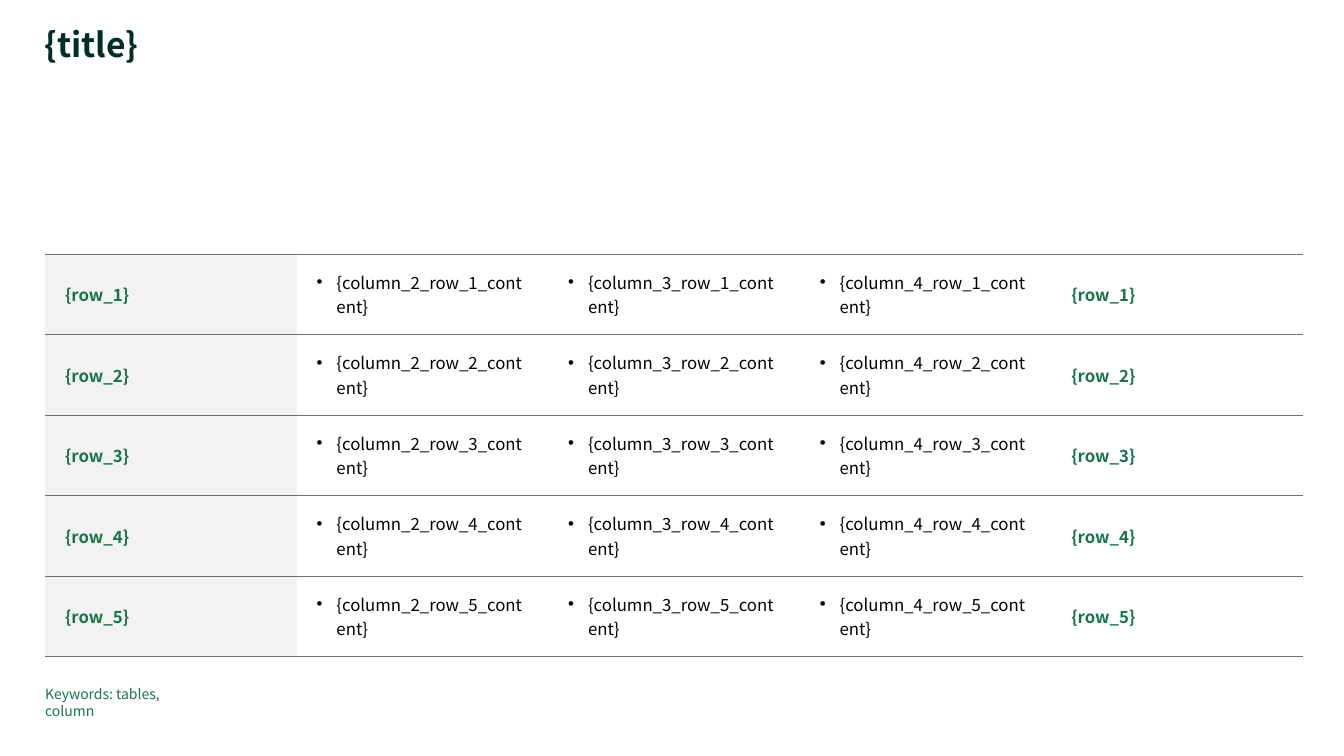
"""Build a slide with a title, a five-row table and a keyword line."""
from dataclasses import dataclass

from lxml.etree import SubElement
from pptx import Presentation
from pptx.dml.color import RGBColor
from pptx.enum.text import MSO_ANCHOR, MSO_AUTO_SIZE, PP_ALIGN
from pptx.oxml.ns import qn
from pptx.util import Cm, Pt


@dataclass(frozen=True)
class TextStyle:
    size: float
    color: str
    bold: bool = False


@dataclass(frozen=True)
class Theme:
    font: str = "Noto Sans CJK JP"
    rule: str = "6E6F73"
    rule_width: float = 0.5
    label_fill: str = "F2F2F2"
    title: TextStyle = TextStyle(24, "002D28", True)
    label: TextStyle = TextStyle(12, "1A7449", True)
    content: TextStyle = TextStyle(12, "000000")
    keywords: TextStyle = TextStyle(10, "1A7449")


@dataclass(frozen=True)
class Column:
    text: str
    style: TextStyle
    bulleted: bool = False
    fill: str | None = None


THEME = Theme()
ROW_COUNT = 5
COLUMN_WIDTH = Cm(6.34)
ROW_HEIGHT = Cm(2.03)
CELL_SIDE = Cm(0.5)
CELL_END = Cm(0.4)
BULLET_INDENT = Cm(0.5)
COLUMNS = [
    Column("{{row_{row}}}", THEME.label, fill=THEME.label_fill),
    *(
        Column(f"{{{{column_{number}_row_{{row}}_content}}}}", THEME.content, bulleted=True)
        for number in (2, 3, 4)
    ),
    Column("{{row_{row}}}", THEME.label),
]


def style_paragraph(para, style: TextStyle) -> None:
    para.alignment = PP_ALIGN.LEFT
    font = para.font
    font.name = THEME.font
    font.size = Pt(style.size)
    font.bold = style.bold
    font.color.rgb = RGBColor.from_string(style.color)


def fill_frame(frame, text: str, style: TextStyle, line_spacing: float) -> None:
    frame.margin_left = frame.margin_right = frame.margin_top = frame.margin_bottom = 0
    frame.word_wrap = True
    frame.auto_size = MSO_AUTO_SIZE.SHAPE_TO_FIT_TEXT
    para = frame.paragraphs[0]
    para.text = text
    para.line_spacing = line_spacing
    style_paragraph(para, style)


def add_bullet(para) -> None:
    properties = para._p.get_or_add_pPr()
    properties.set("marL", str(BULLET_INDENT))
    properties.set("indent", str(-BULLET_INDENT))
    SubElement(properties, qn("a:buFont"), typeface="Arial")
    SubElement(properties, qn("a:buChar"), char="•")


def rule_cell(cell) -> None:
    properties = cell._tc.get_or_add_tcPr()
    for side in ("lnL", "lnR"):
        SubElement(SubElement(properties, qn(f"a:{side}"), w="0"), qn("a:noFill"))
    for side in ("lnT", "lnB"):
        line = SubElement(properties, qn(f"a:{side}"), w=str(Pt(THEME.rule_width)))
        SubElement(SubElement(line, qn("a:solidFill")), qn("a:srgbClr"), val=THEME.rule)


def fill_cell(cell, column: Column, row: int) -> None:
    cell.margin_left = cell.margin_right = CELL_SIDE
    cell.margin_top = cell.margin_bottom = CELL_END
    cell.vertical_anchor = MSO_ANCHOR.MIDDLE
    rule_cell(cell)
    if column.fill:
        cell.fill.solid()
        cell.fill.fore_color.rgb = RGBColor.from_string(column.fill)
    else:
        cell.fill.background()
    para = cell.text_frame.paragraphs[0]
    para.text = column.text.format(row=row)
    if column.bulleted:
        add_bullet(para)
    style_paragraph(para, column.style)


def add_title(page) -> None:
    title = page.shapes.title
    title.left, title.top, title.width, title.height = Cm(1.12), Cm(0.71), Cm(28.02), Cm(0.94)
    fill_frame(title.text_frame, "{title}", THEME.title, 0.9)
    title.text_frame.vertical_anchor = MSO_ANCHOR.MIDDLE


def add_content_table(page) -> None:
    table = page.shapes.add_table(
        ROW_COUNT, len(COLUMNS), Cm(1.14), Cm(6.4),
        COLUMN_WIDTH * len(COLUMNS), ROW_HEIGHT * ROW_COUNT,
    ).table
    table.first_row = table.horz_banding = False
    for row_number, row in enumerate(table.rows, start=1):
        row.height = ROW_HEIGHT
        for cell, column in zip(row.cells, COLUMNS):
            fill_cell(cell, column, row_number)


def add_keywords(page) -> None:
    box = page.shapes.add_textbox(Cm(1.14), Cm(17.27), Cm(4.04), Cm(0.43))
    fill_frame(box.text_frame, "Keywords: tables, column", THEME.keywords, 1.0)


def main() -> None:
    deck = Presentation()
    deck.slide_width, deck.slide_height = Cm(33.87), Cm(19.05)
    page = deck.slides.add_slide(deck.slide_layouts[5])
    add_title(page)
    add_content_table(page)
    add_keywords(page)
    deck.save("out.pptx")


if __name__ == "__main__":
    main()
